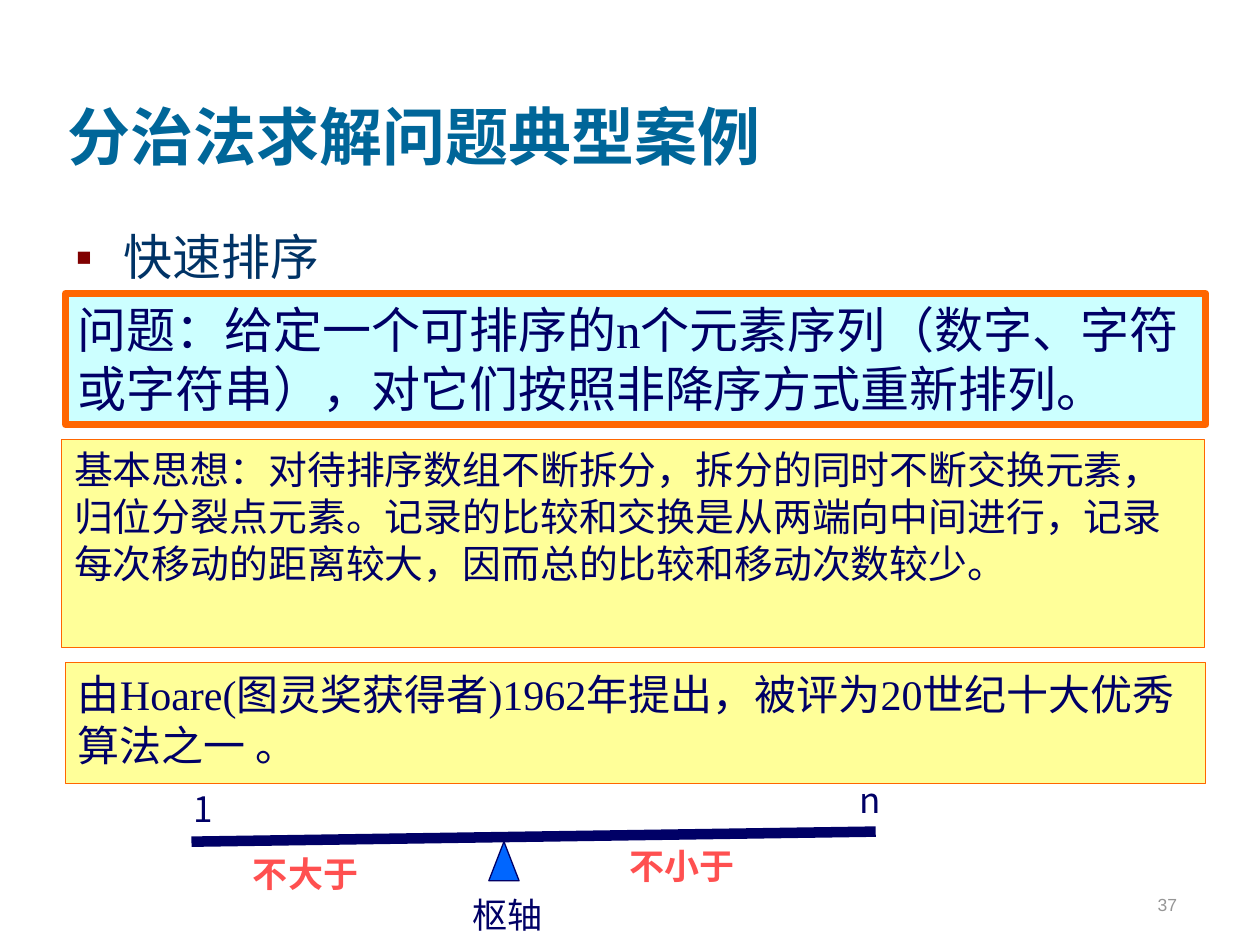
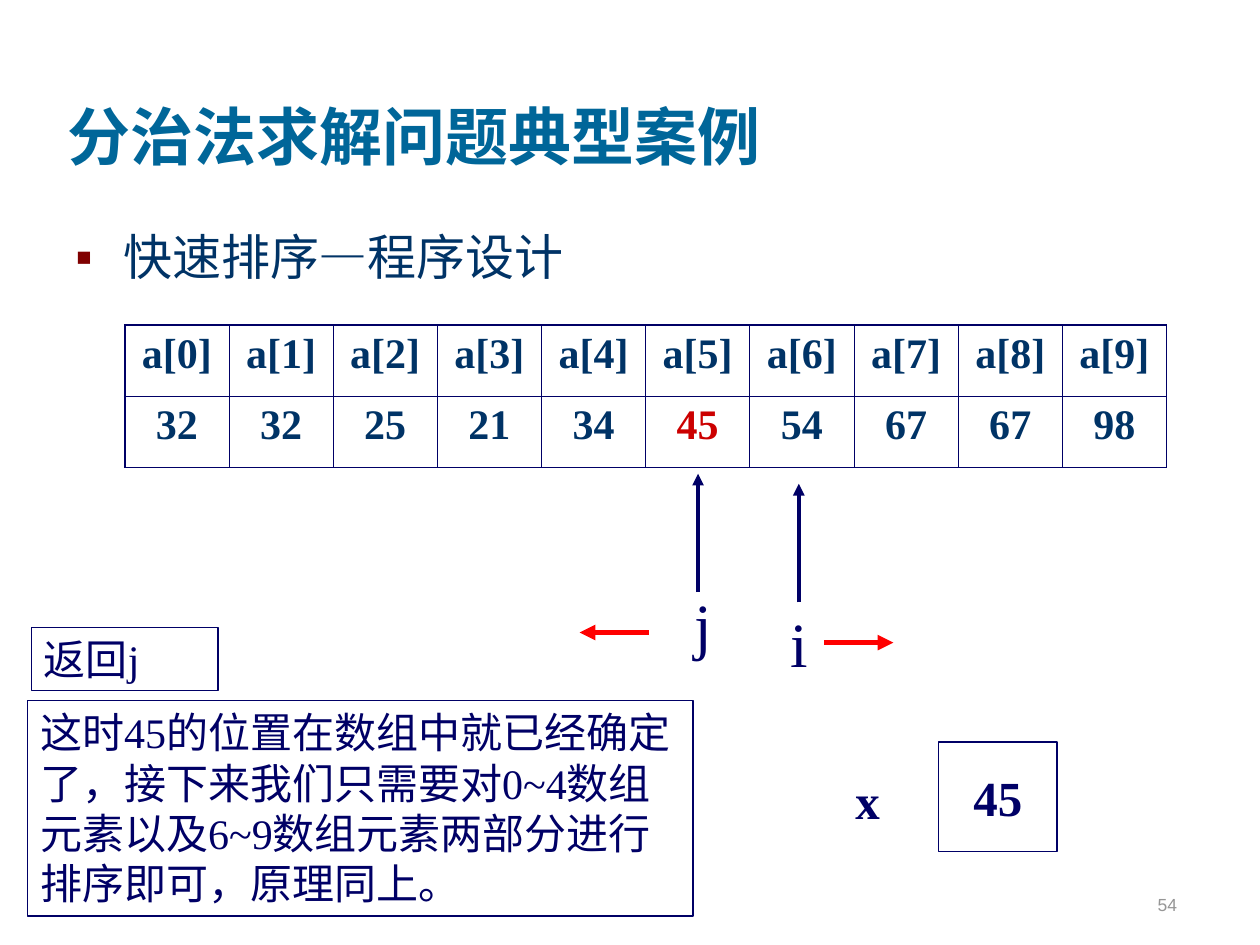
from dataclasses import dataclass

from lxml import etree
from pptx import Presentation
from pptx import util as u
from pptx.dml.color import RGBColor
from pptx.enum import shapes, text
from pptx.oxml.ns import qn

LEFT, CENTER, RIGHT = text.PP_ALIGN.LEFT, text.PP_ALIGN.CENTER, text.PP_ALIGN.RIGHT
TOP, MIDDLE, BOTTOM = (text.MSO_ANCHOR.TOP, text.MSO_ANCHOR.MIDDLE,
                       text.MSO_ANCHOR.BOTTOM)
PX = 9144  # 100 px to the inch


@dataclass(frozen=True)
class Theme:
    navy: str = "000066"
    title: str = "006699"
    body: str = "003366"
    bullet: str = "800000"
    grey: str = "969696"
    orange: str = "FF6600"
    cyan: str = "CCFFFF"
    yellow: str = "FFFF99"
    blue: str = "0066FF"
    coral: str = "FF5050"
    red: str = "FF0000"
    pivot: str = "CC0000"
    serif: str = "Times New Roman"
    sans: str = "Noto Sans CJK SC"
    bullet_text: str = "TeX Gyre Pagella"
    footer: str = "Arial"
    title_size: float = 36
    large: float = 28
    medium: float = 24
    idea: float = 22.2
    small: float = 20
    number: float = 10


def px(n):
    return u.Emu(n * PX)


def rgb(color):
    return RGBColor.from_string(color)


class Deck:
    def __init__(self, theme):
        self.t = theme
        self.prs = Presentation()
        self.prs.slide_width, self.prs.slide_height = px(1000), px(750)
        self.s = None

    def slide(self, heading, number):
        """Start a slide with its title, bullet heading and page number."""
        t = self.t
        self.s = self.prs.slides.add_slide(self.prs.slide_layouts[6])
        self.label((44, 17, 850, 125), "分治法求解问题典型案例", size=t.title_size,
                   color=t.title, bold=True, anchor=BOTTOM)
        sp = self.label((50, 175, 894, 488), heading, size=t.large,
                        color=t.body, font=t.bullet_text)
        self.bullet(sp.text_frame.paragraphs[0])
        self.label((736, 681, 208, 50), str(number), size=t.number, color=t.grey,
                   font=t.footer, align=RIGHT, anchor=BOTTOM)

    def bullet(self, p):
        pPr = p._p.get_or_add_pPr()
        pPr.set("marL", str(px(38)))
        pPr.set("indent", str(-px(38)))
        clr = etree.SubElement(pPr, qn("a:buClr"))
        etree.SubElement(clr, qn("a:srgbClr"), val=self.t.bullet)
        etree.SubElement(pPr, qn("a:buFont"), typeface=self.t.footer)
        etree.SubElement(pPr, qn("a:buChar"), char="▪")

    def set_text(self, tf, words, size, color=None, font=None, bold=False, align=LEFT):
        tf.text = words
        p = tf.paragraphs[0]
        p.alignment = align
        for r in p.runs:
            r.font.size, r.font.bold = u.Pt(size), bold
            r.font.name = font or self.t.serif
            r.font.color.rgb = rgb(color or self.t.navy)

    def label(self, box, words, anchor=TOP, wrap=True, **style):
        sp = self.s.shapes.add_textbox(*map(px, box))
        sp.text_frame.word_wrap = wrap
        sp.text_frame.vertical_anchor = anchor
        self.set_text(sp.text_frame, words, **style)
        return sp

    def shape(self, kind, box, fill=None, line=None, width=0.75):
        sp = self.s.shapes.add_shape(kind, *map(px, box))
        sp.shadow.inherit = False
        if fill:
            sp.fill.solid()
            sp.fill.fore_color.rgb = rgb(fill)
        else:
            sp.fill.background()
        sp.line.color.rgb = rgb(line or self.t.navy)
        sp.line.width = u.Pt(width)
        return sp

    def panel(self, box, words, fill=None, line=None, width=0.75, anchor=TOP,
              wrap=True, **style):
        """Draw a rectangle that holds text."""
        sp = self.shape(shapes.MSO_SHAPE.RECTANGLE, box, fill, line, width)
        sp.text_frame.word_wrap = wrap
        sp.text_frame.vertical_anchor = anchor
        self.set_text(sp.text_frame, words, **style)

    def line(self, start, end, color, width, arrow=False):
        cx = self.s.shapes.add_connector(shapes.MSO_CONNECTOR.STRAIGHT,
                                         *map(px, (*start, *end)))
        cx.line.color.rgb = rgb(color)
        cx.line.width = u.Pt(width)
        spPr = cx._element.spPr
        if arrow:
            etree.SubElement(spPr.find(qn("a:ln")), qn("a:tailEnd"), type="triangle")
        etree.SubElement(spPr, qn("a:effectLst"))

    def border(self, cell, widths):
        """Set left, right, top and bottom borders, ahead of the fill."""
        tcPr = cell._tc.get_or_add_tcPr()
        for i, (side, width) in enumerate(zip("LRTB", widths)):
            ln = etree.Element(qn(f"a:ln{side}"), w=str(u.Pt(width)))
            fill = etree.SubElement(ln, qn("a:solidFill"))
            etree.SubElement(fill, qn("a:srgbClr"), val=self.t.navy)
            tcPr.insert(i, ln)

    def table(self, box, rows, marked, thin=0.45, thick=1.08):
        """Draw a grid with a thick frame; marked is the (row, column) in red."""
        t = self.t
        n_rows, n_cols = len(rows), len(rows[0])
        tbl = self.s.shapes.add_table(n_rows, n_cols, *map(px, box)).table
        tbl.first_row = tbl.horz_banding = False
        for i, row in enumerate(rows):
            for j, value in enumerate(row):
                cell = tbl.cell(i, j)
                cell.fill.background()
                color = t.pivot if (i, j) == marked else t.body
                self.set_text(cell.text_frame, value, size=t.medium, color=color,
                              bold=True, align=CENTER)
                outer = (j == 0, j == n_cols - 1, i == 0, i == n_rows - 1)
                self.border(cell, [thick if o else thin for o in outer])


def quick_sort_idea(d):
    t = d.t
    d.slide("快速排序", 37)
    d.panel((52, 233, 905, 104),
            "问题：给定一个可排序的n个元素序列（数字、字符或字符串），对它们按照非降序方式重新排列。",
            fill=t.cyan, line=t.orange, width=4, size=t.large)
    d.panel((49, 349, 907, 165),
            "基本思想：对待排序数组不断拆分，拆分的同时不断交换元素，归位分裂点元素。"
            "记录的比较和交换是从两端向中间进行，记录每次移动的距离较大，"
            "因而总的比较和移动次数较少。",
            fill=t.yellow, line=t.orange, width=0.5, size=t.idea)
    d.panel((52, 526, 905, 96),
            "由Hoare(图灵奖获得者)1962年提出，被评为20世纪十大优秀算法之一 。",
            fill=t.yellow, line=t.orange, width=0.5, size=t.medium)

    d.line((152, 668), (695, 660), t.navy, 6)
    d.shape(shapes.MSO_SHAPE.FLOWCHART_EXTRACT, (388, 668, 24, 31), fill=t.blue)
    for x, y, words in ((191, 672, "不大于"), (490, 665, "不小于")):
        d.label((x, y, 157, 44), words, size=t.small, color=t.coral, font=t.sans,
                bold=True)
    for x, y, words in ((144, 620, "1"), (672, 613, "n")):
        d.label((x, y, 32, 44), words, size=t.small, font=t.sans)
    d.label((352, 704, 101, 44), "枢轴", size=t.small, align=CENTER)


def quick_sort_program(d):
    t = d.t
    d.slide("快速排序—程序设计", 54)
    values = "32 32 25 21 34 45 54 67 67 98".split()
    names = [f"a[{i}]" for i in range(len(values))]
    d.table((99, 258, 827, 113), [names, values], marked=(1, 5))

    for x, y, name in ((607, 478, "i"), (531, 463, "j")):
        d.label((x, y, 55, 63), name, size=t.title_size, align=CENTER,
                anchor=MIDDLE, wrap=False)
    for x, y in ((634, 478), (554, 470)):
        d.line((x, y), (x, y - 94), t.navy, 2.25, arrow=True)
    for x, y, step in ((654, 510, 55), (515, 502, -55)):
        d.line((x, y), (x + step, y), t.red, 3, arrow=True)

    pivot = dict(size=t.large, bold=True, align=CENTER, anchor=MIDDLE, wrap=False)
    d.panel((745, 589, 94, 87), "45", **pivot)
    d.label((640, 602, 97, 65), "x", **pivot)
    d.panel((25, 498, 148, 50), "返回j", size=t.medium)
    d.panel((22, 556, 528, 171),
            "这时45的位置在数组中就已经确定了，接下来我们只需要对0~4数组元素"
            "以及6~9数组元素两部分进行排序即可，原理同上。", size=t.medium)


def main():
    d = Deck(Theme())
    quick_sort_idea(d)
    quick_sort_program(d)
    d.prs.save("out.pptx")


if __name__ == "__main__":
    main()
